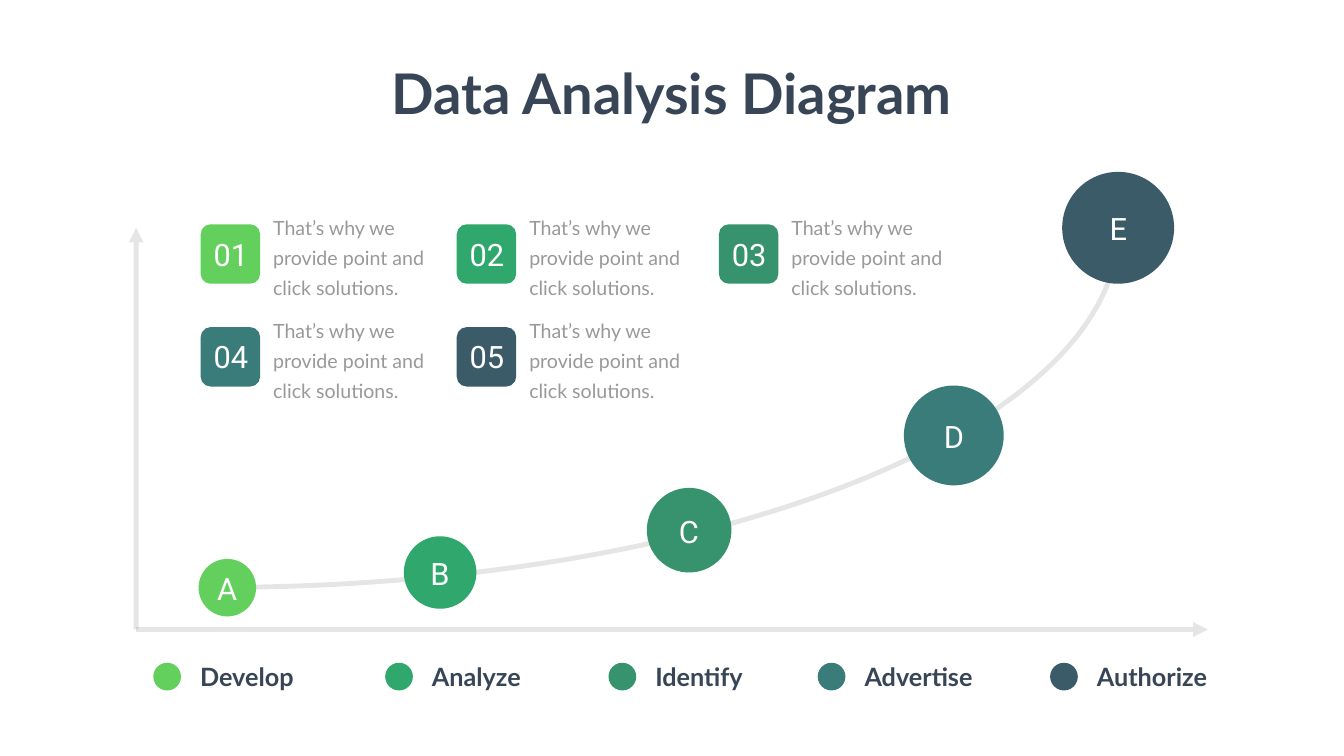
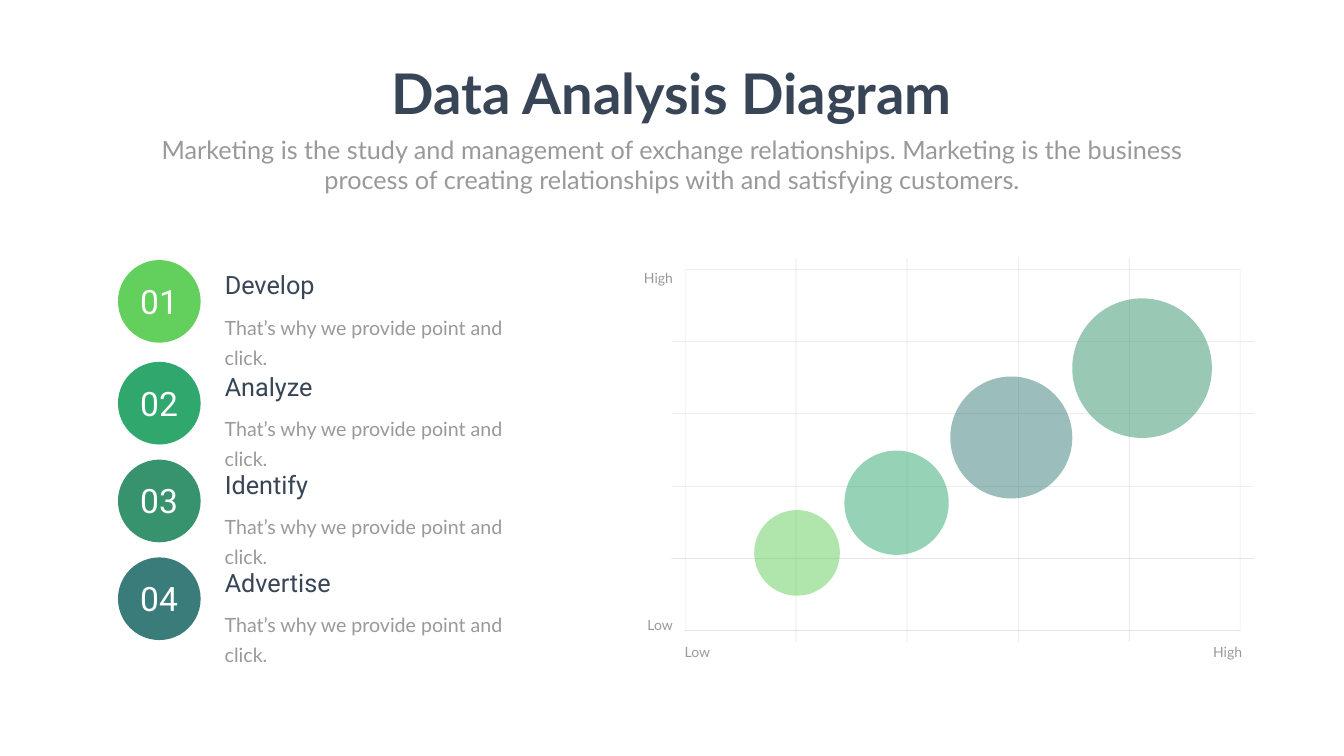
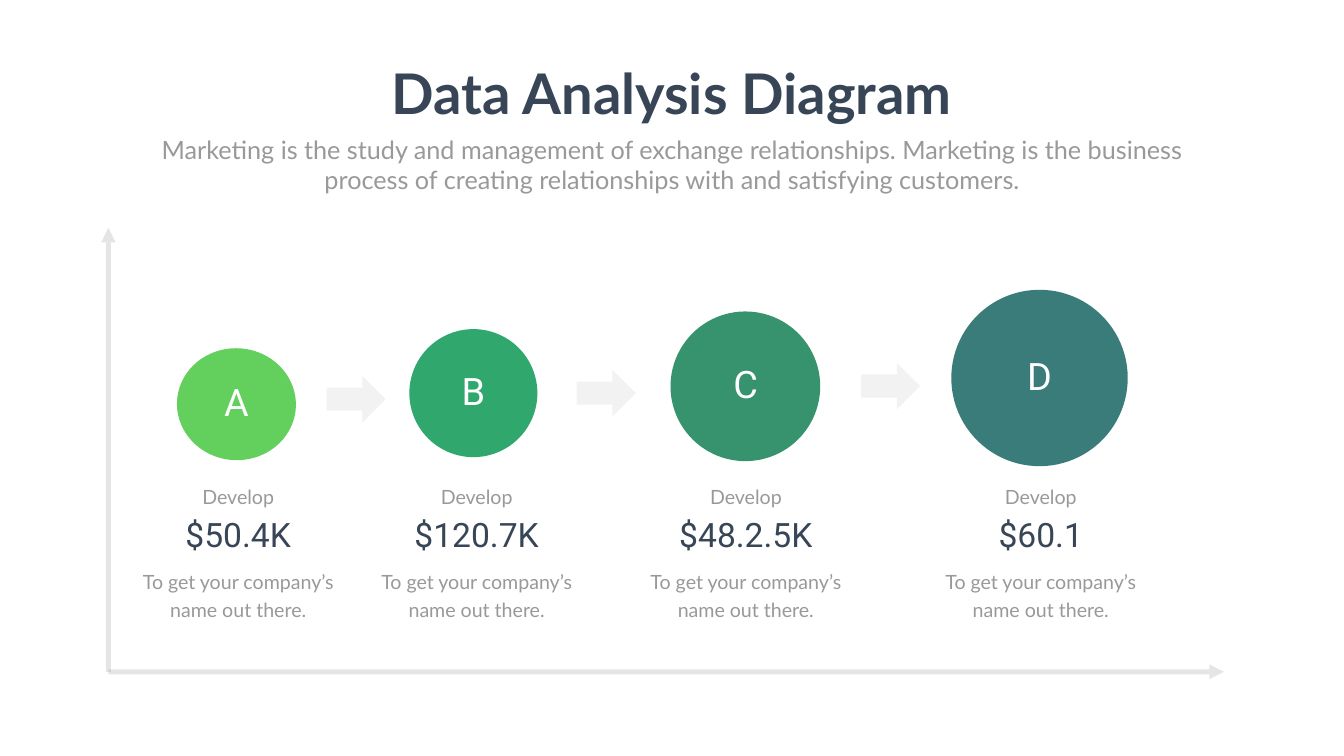
import pptx
import pptx.util
from pptx.dml.color import RGBColor
from pptx.enum.shapes import MSO_CONNECTOR, MSO_SHAPE
from pptx.enum.text import MSO_ANCHOR, MSO_AUTO_SIZE, PP_ALIGN
from pptx.oxml.ns import qn
from pptx.oxml.xmlchemy import OxmlElement

EMU_PER_PX = 9144

PAPER = RGBColor(0xFE, 0xFF, 0xFE)
WHITE = RGBColor(0xFF, 0xFF, 0xFF)
NAVY = RGBColor(0x37, 0x45, 0x56)
TEXT_GRAY = RGBColor(0x99, 0x99, 0x99)
LINE_GRAY = RGBColor(0x80, 0x80, 0x80)
LIME = RGBColor(0x63, 0xCF, 0x5C)
GREEN = RGBColor(0x30, 0xA7, 0x6D)
FOREST = RGBColor(0x36, 0x93, 0x6E)
TEAL = RGBColor(0x3A, 0x7C, 0x79)
SLATE = RGBColor(0x3B, 0x5B, 0x69)
PALETTE = [LIME, GREEN, FOREST, TEAL, SLATE]

LEFT, CENTER, RIGHT = PP_ALIGN.LEFT, PP_ALIGN.CENTER, PP_ALIGN.RIGHT

TITLE = "Data Analysis Diagram"
SUBTITLE = ("Marketing is the study and management of exchange relationships. "
            "Marketing is the business process of creating relationships with "
            "and satisfying customers.")


def px(n):
    return pptx.util.Emu(round(n) * EMU_PER_PX)


def box(*lengths):
    return [px(n) for n in lengths]


def write(tf, text, size, font, color, align, bold=False, spacing=None):
    tf.text = text
    tf.vertical_anchor = MSO_ANCHOR.TOP
    tf.auto_size = MSO_AUTO_SIZE.SHAPE_TO_FIT_TEXT
    p = tf.paragraphs[0]
    p.alignment = align
    if spacing:
        p.line_spacing = pptx.util.Pt(spacing)
    r = p.runs[0]
    r.font.size = pptx.util.Pt(size)
    r.font.name = font
    r.font.bold = bold
    r.font.color.rgb = color


def add_text(s, at, text, size, font, color, align=LEFT, bold=False,
             spacing=None, inset=True):
    tf = s.shapes.add_textbox(*box(*at)).text_frame
    tf.word_wrap = True
    if not inset:
        tf.margin_left = tf.margin_right = tf.margin_top = tf.margin_bottom = 0
    write(tf, text, size, font, color, align, bold, spacing)


def set_opacity(shape, percent):
    for clr in shape._element.spPr.iter(qn("a:srgbClr")):
        alpha = OxmlElement("a:alpha")
        alpha.set("val", str(percent * 1000))
        clr.append(alpha)


def set_line(shape, width):
    shape.line.color.rgb = LINE_GRAY
    shape.line.width = pptx.util.Pt(width)
    set_opacity(shape, 20)


def add_filled(s, kind, at, color, opacity=100, tilt=0):
    sp = s.shapes.add_shape(kind, *box(*at))
    sp.shadow.inherit = False
    sp.fill.solid()
    sp.fill.fore_color.rgb = color
    sp.line.fill.background()
    sp.rotation = tilt
    if opacity < 100:
        set_opacity(sp, opacity)


def add_outline(s, kind, at, width, tilt=0):
    sp = s.shapes.add_shape(kind, *box(*at))
    sp.shadow.inherit = False
    sp.fill.background()
    sp.rotation = tilt
    set_line(sp, width)


def add_line(s, x1, y1, x2, y2, width, arrow=False):
    c = s.shapes.add_connector(MSO_CONNECTOR.STRAIGHT, *box(x1, y1, x2, y2))
    set_line(c, width)
    if arrow:
        tail = OxmlElement("a:tailEnd")
        tail.set("type", "triangle")
        c._element.spPr.find(qn("a:ln")).append(tail)
    c._element.spPr.append(OxmlElement("a:effectLst"))


def add_axes(s, x, y, right, top):
    add_line(s, x, y, right, y, 7, arrow=True)
    add_line(s, x, y, x, top, 7, arrow=True)


def add_lettered_disc(s, cx, cy, w, h, color, letter, size, label_w, label_h, lift=0):
    add_filled(s, MSO_SHAPE.OVAL, (cx - w / 2, cy - h / 2, w, h), color, tilt=3)
    add_text(s, (cx - label_w / 2, cy - label_h / 2 - lift, label_w, label_h),
             letter, size, "Roboto", WHITE, CENTER)


def add_card(s, x, y, number, color):
    add_filled(s, MSO_SHAPE.ROUNDED_RECTANGLE, (x, y, 118, 118), color)
    add_text(s, (x - 7, y + 17, 134, 84), number, 44, "Roboto", WHITE, CENTER)
    add_text(s, (x + 134, y - 35, 355, 184),
             "That’s why we provide point and click solutions.",
             28, "Lato", TEXT_GRAY, spacing=43)


def add_legend_entry(s, x, name, color):
    add_filled(s, MSO_SHAPE.OVAL, (x, 1315, 55, 55), color)
    add_text(s, (x + 83, 1307, 261, 71), name, 36, "Lato", NAVY, bold=True)


def add_step(s, y, number, name, color):
    add_filled(s, MSO_SHAPE.OVAL, (234, y, 164, 164), color)
    add_text(s, (266, y + 36, 99, 91), number, 48, "Roboto", WHITE, CENTER)
    add_text(s, (436, y + 92, 664, 64), "That’s why we provide point and click.",
             28, "Lato", TEXT_GRAY, spacing=43)
    add_text(s, (436, y + 14, 441, 71), name, 36, "Roboto", NAVY)


def add_grid(s, x, y, w, h, cells):
    add_outline(s, MSO_SHAPE.RECTANGLE, (x, y, w, h), 1)
    for i in range(1, cells):
        gx, gy = x + w * i / cells, y + h * i / cells
        add_line(s, gx, y - 23, gx, y + h + 22, 1)
        add_line(s, x - 27, gy, x + w + 27, gy, 1)


def add_figure(s, cx, amount):
    add_text(s, (cx - 112, 948, 225, 63), "Develop", 28, "Lato", TEXT_GRAY,
             CENTER, spacing=40.8)
    add_text(s, (cx - 147, 1014, 295, 91), amount, 48, "Roboto", NAVY, CENTER)
    add_text(s, (cx - 208, 1115, 417, 122), "To get your company’s name out there.",
             28, "Lato", TEXT_GRAY, CENTER, spacing=40.8)


def add_titled_slide(prs, subtitle=None):
    s = prs.slides.add_slide(prs.slide_layouts[5])
    title = s.shapes.title
    title.left, title.top, title.width, title.height = box(753, 112, 1159, 145)
    title.text_frame.word_wrap = False
    write(title.text_frame, TITLE, 80, "Lato", NAVY, CENTER, bold=True)
    if subtitle:
        add_text(s, (292, 261, 2082, 131), subtitle, 36, "Lato", TEXT_GRAY, CENTER)
    return s


def build_growth_curve(prs):
    s = add_titled_slide(prs)
    add_outline(s, MSO_SHAPE.ARC, (-280, -1333, 1424, 3573), 7, tilt=90)
    add_axes(s, 270, 1249, 2396, 452)
    discs = [(451, 1166, 114), (873, 1136, 144), (1367, 1052, 168),
             (1892, 864, 198), (2218, 452, 222)]
    for (cx, cy, d), color, letter in zip(discs, PALETTE, "ABCDE"):
        add_lettered_disc(s, cx, cy, d, d, color, letter, 44, 129, 81)
    legend = [(304, "Develop"), (764, "Analyze"), (1207, "Identify"),
              (1622, "Advertise"), (2083, "Authorize")]
    for (x, name), color in zip(legend, PALETTE):
        add_legend_entry(s, x, name, color)
    columns = [398, 906, 1426]
    for i, color in enumerate(PALETTE):
        row, col = divmod(i, len(columns))
        add_card(s, columns[col], 445 + 204 * row, f"{i + 1:02}", color)


def build_bubble_grid(prs):
    s = add_titled_slide(prs, SUBTITLE)
    add_grid(s, 1359, 535, 1101, 716, 5)
    bubbles = [(1885, 747, 242, TEAL), (1675, 894, 207, GREEN),
               (1496, 1012, 170, LIME), (2127, 592, 277, FOREST)]
    for x, y, d, color in bubbles:
        add_filled(s, MSO_SHAPE.OVAL, (x, y, d, d), color, opacity=50, tilt=4.9)
    scale_labels = [(1358, 1276, "Low", LEFT), (2240, 1276, "High", RIGHT),
                    (1111, 535, "High", RIGHT), (1111, 1223, "Low", RIGHT)]
    for x, y, text, align in scale_labels:
        add_text(s, (x, y, 224, 34), text, 20, "Lato", TEXT_GRAY, align, inset=False)
    steps = [(516, "Develop"), (718, "Analyze"), (912, "Identify"), (1106, "Advertise")]
    for i, (y, name) in enumerate(steps):
        add_step(s, y, f"{i + 1:02}", name, PALETTE[i])


def build_stages(prs):
    s = add_titled_slide(prs, SUBTITLE)
    add_axes(s, 215, 1333, 2428, 452)
    discs = [(469, 802, 236, 222), (939, 780, 254, 254),
             (1479, 766, 297, 297), (2062, 750, 350, 350)]
    for (cx, cy, w, h), color, letter in zip(discs, PALETTE, "ABCD"):
        add_lettered_disc(s, cx, cy, w, h, color, letter, 54, 228, 101, lift=5)
    figures = [(472, "$50.4K"), (945, "$120.7K"), (1479, "$48.2.5K"), (2064, "$60.1")]
    for cx, amount in figures:
        add_figure(s, cx, amount)
    for x, y in [(648, 746), (1144, 734), (1708, 720)]:
        add_filled(s, MSO_SHAPE.RIGHT_ARROW, (x, y, 117, 92), LINE_GRAY, opacity=10)


def main():
    prs = pptx.Presentation()
    prs.slide_width, prs.slide_height = box(2666, 1500)
    fill = prs.slide_master.background.fill
    fill.solid()
    fill.fore_color.rgb = PAPER
    build_growth_curve(prs)
    build_bubble_grid(prs)
    build_stages(prs)
    prs.save("out.pptx")


if __name__ == "__main__":
    main()
